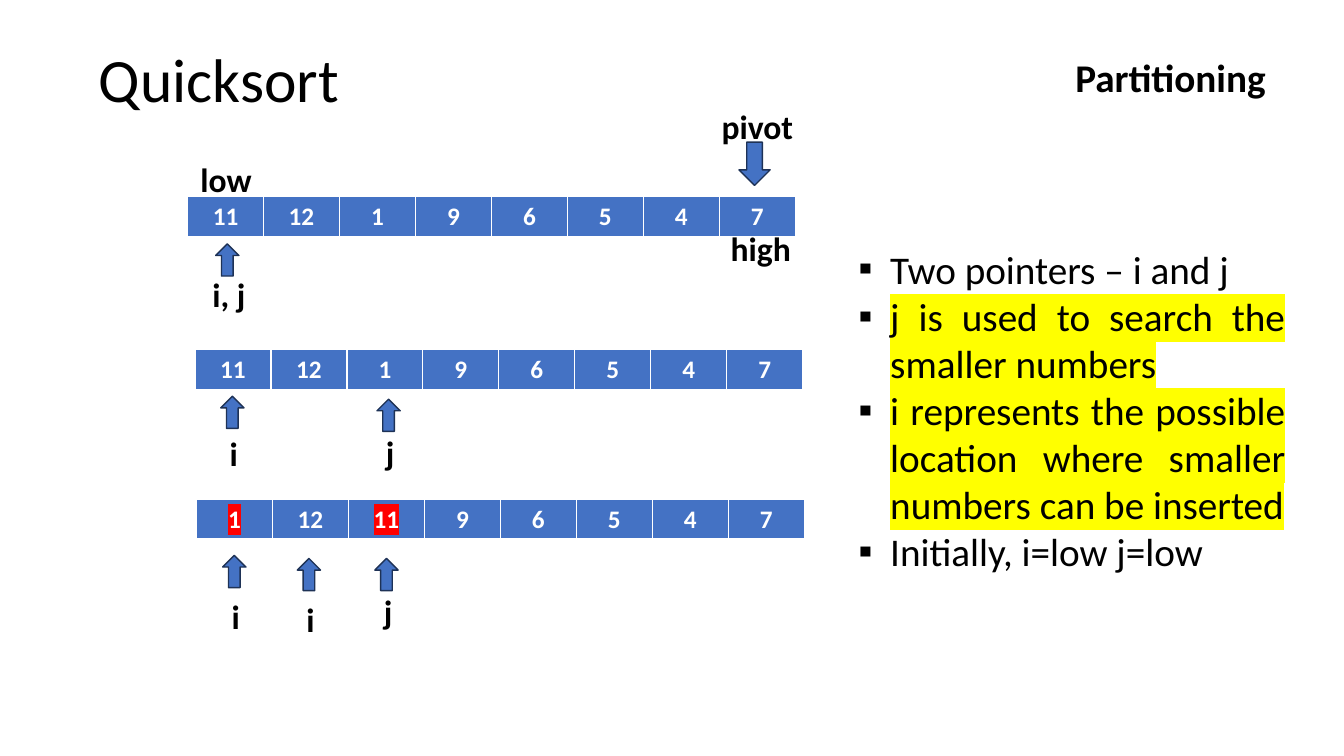
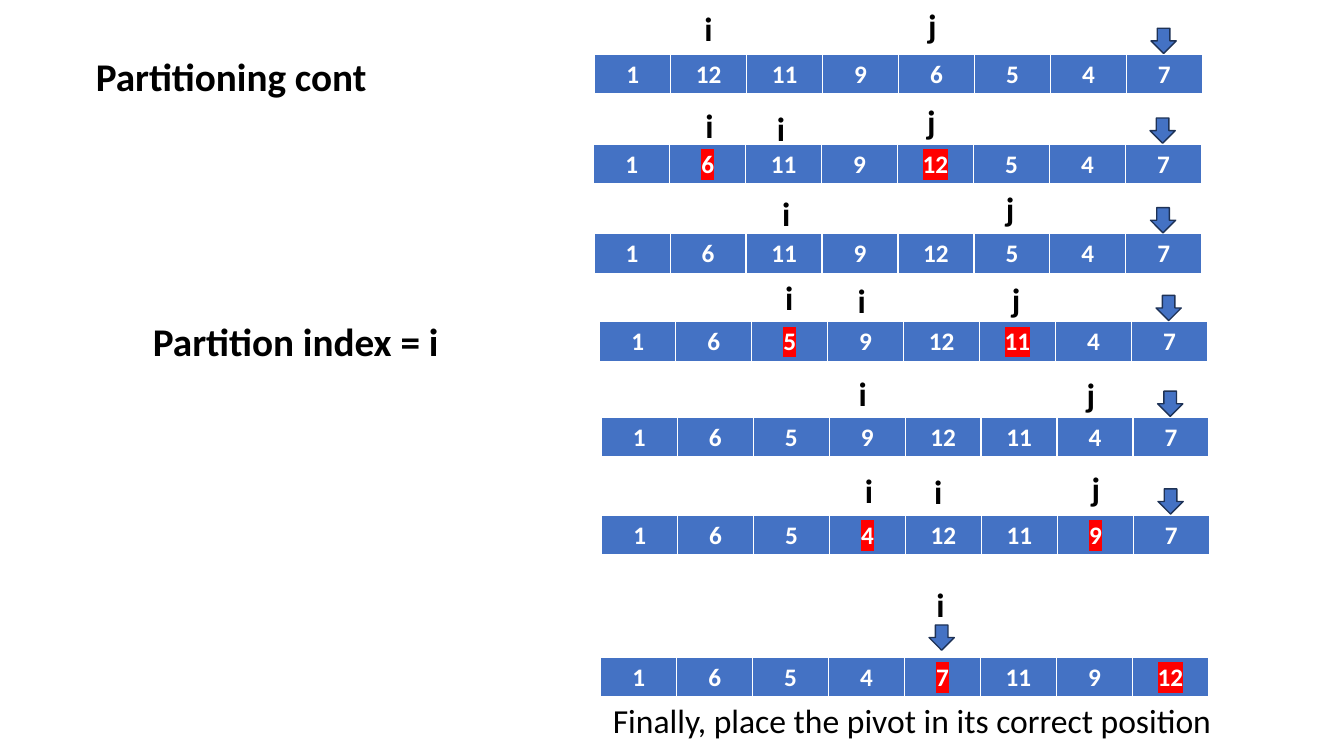
from pptx import Presentation
from pptx.dml.color import RGBColor
from pptx.enum.shapes import MSO_SHAPE as Shape
from pptx.enum.text import MSO_ANCHOR as Anchor, MSO_AUTO_SIZE as AutoSize, PP_ALIGN as Align
from pptx.oxml.ns import qn
from pptx.util import Pt
from lxml.etree import SubElement

# Shared look
BLACK = RGBColor(0x00, 0x00, 0x00)
WHITE = RGBColor(0xFF, 0xFF, 0xFF)
BLUE = RGBColor(0x44, 0x72, 0xC4)
NAVY = RGBColor(0x1E, 0x32, 0x56)
RED = RGBColor(0xFF, 0x00, 0x00)
YELLOW = RGBColor(0xFF, 0xFF, 0x00)
FONT = "Calibri"

CELL_WIDTH, CELL_HEIGHT = 54.28, 29.2
BORDERS = (("a:lnL", 1), ("a:lnR", 1), ("a:lnT", 1), ("a:lnB", 3))
LABEL_HEIGHT = 36.3
LABEL_WIDTHS = {"i": 20.2, "j": 20.9, "i, j": 38.2, "pivot": 66.2, "low": 51.1, "high": 58.3}
UP_SIZE, DOWN_SIZE, PIVOT_SIZE = (16.6, 23), (18, 18), (22.3, 31)

# Slide 1: left, top, values, swapped columns, up arrows, labels
FIRST_STEPS = (
    (134, 140.4, (11, 12, 1, 9, 6, 5, 4, 7), (), ((154.1, 174.2),),
     (("i, j", 144.7, 192.2), ("pivot", 508.3, 72), ("low", 136.1, 110.2), ("high", 514.8, 159.1))),
    (139.3, 249.8, (11, 12, 1, 9, 6, 5, 4, 7), (), ((157.7, 283), (269.3, 285.1)),
     (("i", 157, 306), ("j", 268.6, 304.6))),
    (140.4, 356.4, (1, 12, 11, 9, 6, 5, 4, 7), (0, 2),
     ((159.1, 396.7), (212.4, 398.9), (267.8, 398.9)),
     (("i", 158.4, 421.9), ("i", 211.7, 424.1), ("j", 267.1, 418.3))),
)

# Slide 2: left, top, values, swapped columns, pivot column, arrow lift, labels
NEXT_STEPS = (
    (424.8, 38.9, (1, 12, 11, 9, 6, 5, 4, 7), (), 7, 18.7,
     (("i", 496.1, 2.2), ("j", 655.9, 0))),
    (424.1, 103, (1, 6, 11, 9, 12, 5, 4, 7), (1, 4), 7, 18.7,
     (("i", 496.8, 71.3), ("i", 547.9, 73.4), ("j", 655.2, 68.4))),
    (424.4, 167, (1, 6, 11, 9, 12, 5, 4, 7), (), 7, 18.7,
     (("i", 551.5, 134.6), ("j", 711.4, 131))),
    (428.4, 229.7, (1, 6, 5, 9, 12, 11, 4, 7), (2, 5), 7, 18.7,
     (("i", 553.7, 194.4), ("i", 605.5, 196.6), ("j", 715.7, 195.8))),
    (429.5, 298.1, (1, 6, 5, 9, 12, 11, 4, 7), (), 7, 18.7,
     (("i", 606.2, 262.8), ("j", 769, 263.5))),
    (429.8, 367.9, (1, 6, 5, 4, 12, 11, 9, 7), (3, 6), 7, 18.7,
     (("i", 610.6, 331.9), ("i", 660.2, 332.6), ("j", 772.6, 330.5))),
    (429.1, 469.4, (1, 6, 5, 4, 7, 11, 9, 12), (4, 7), 4, 23,
     (("i", 661.7, 413.3),)),
)

NOTES = (
    ("Two pointers – i and j", None),
    ("j is used to search the smaller numbers", YELLOW),
    ("i represents the possible location where smaller numbers can be inserted", YELLOW),
    ("Initially, i=low j=low", None),
)


def add_color(parent, color):
    fill = SubElement(parent, qn("a:solidFill"))
    SubElement(fill, qn("a:srgbClr"), val=str(color))


def write(para, text, *, size=24, bold=False, color=BLACK, align=Align.LEFT,
          spacing=1.0, highlight=None):
    para.alignment = align
    para.line_spacing = spacing
    para.space_before = para.space_after = Pt(0)
    span = para.add_run()
    span.text = text
    font = span.font
    font.name, font.size, font.bold = FONT, Pt(size), bold
    font.color.rgb = color
    if highlight is not None:
        properties = span._r.get_or_add_rPr()
        mark = SubElement(properties, qn("a:highlight"))
        SubElement(mark, qn("a:srgbClr"), val=str(highlight))
        properties.find(qn("a:solidFill")).addnext(mark)


def place(shape, left, top, width, height):
    shape.left, shape.top, shape.width, shape.height = map(Pt, (left, top, width, height))
    frame = shape.text_frame
    frame.vertical_anchor = Anchor.TOP
    frame.auto_size = AutoSize.NONE
    return frame


def add_title(slide, text, area, **style):
    frame = place(slide.shapes.title, *area)
    frame.word_wrap = True
    write(frame.paragraphs[0], text, **style)


def add_text(slide, text, area, **style):
    box = slide.shapes.add_textbox(*map(Pt, area))
    box.text_frame.word_wrap = False
    write(box.text_frame.paragraphs[0], text, **style)


def add_labels(slide, labels):
    for text, left, top in labels:
        add_text(slide, text, (left, top, LABEL_WIDTHS[text], LABEL_HEIGHT), bold=True)


def add_arrow(slide, kind, left, top, size):
    arrow = slide.shapes.add_shape(kind, *map(Pt, (left, top, *size)))
    arrow.shadow.inherit = False
    arrow.fill.solid()
    arrow.fill.fore_color.rgb = BLUE
    arrow.line.color.rgb = NAVY
    arrow.line.width = Pt(1)


def set_borders(cell):
    properties = cell._tc.get_or_add_tcPr()
    for index, (tag, width) in enumerate(BORDERS):
        border = SubElement(properties, qn(tag), w=str(Pt(width)))
        add_color(border, WHITE)
        properties.insert(index, border)


def add_array(slide, left, top, values, swapped):
    count = len(values)
    area = map(Pt, (left, top, CELL_WIDTH * count, CELL_HEIGHT))
    table = slide.shapes.add_table(1, count, *area).table
    for column, value in enumerate(values):
        cell = table.cell(0, column)
        cell.fill.solid()
        cell.fill.fore_color.rgb = BLUE
        set_borders(cell)
        write(cell.text_frame.paragraphs[0], str(value), size=18, bold=True, color=WHITE,
              align=Align.CENTER, highlight=RED if column in swapped else None)


def add_bullets(slide, items, area):
    frame = place(slide.placeholders[1], *area)
    frame.word_wrap = True
    for index, (text, highlight) in enumerate(items):
        para = frame.add_paragraph() if index else frame.paragraphs[0]
        write(para, text, size=28, align=Align.JUSTIFY, highlight=highlight)
        properties = para._p.get_or_add_pPr()
        properties.set("marL", str(Pt(22.5)))
        properties.set("indent", str(Pt(-22.5)))
        SubElement(properties, qn("a:buFont"), typeface=FONT)
        SubElement(properties, qn("a:buChar"), char="▪")


def build_start(deck):
    slide = deck.slides.add_slide(deck.slide_layouts[1])
    add_title(slide, "Quicksort", (63.4, 31.7, 828, 104.4), size=44, spacing=0.9)
    add_text(slide, "Partitioning", (761, 34.6, 152.6, 41), size=28, bold=True)
    for left, top, values, swapped, arrows, labels in FIRST_STEPS:
        add_array(slide, left, top, values, swapped)
        for x, y in arrows:
            add_arrow(slide, Shape.UP_ARROW, x, y, UP_SIZE)
        add_labels(slide, labels)
    add_arrow(slide, Shape.DOWN_ARROW, 527.8, 101.5, PIVOT_SIZE)
    add_bullets(slide, NOTES, (606.2, 171.4, 319, 278.6))


def build_continuation(deck):
    slide = deck.slides.add_slide(deck.slide_layouts[5])
    add_title(slide, "Partitioning cont", (61.2, 33.8, 230, 41), size=28, bold=True)
    add_text(slide, "Partition index = i", (102.2, 223.2, 219, 41), size=28, bold=True)
    for left, top, values, swapped, pivot, lift, labels in NEXT_STEPS:
        add_array(slide, left, top, values, swapped)
        add_arrow(slide, Shape.DOWN_ARROW, left + pivot * CELL_WIDTH + 17.4, top - lift, DOWN_SIZE)
        add_labels(slide, labels)
    add_text(slide, "Finally, place the pivot in its correct position",
             (430.6, 496.1, 445.7, LABEL_HEIGHT))


def main():
    deck = Presentation()
    deck.slide_width, deck.slide_height = Pt(960), Pt(540)
    build_start(deck)
    build_continuation(deck)
    deck.save("out.pptx")


if __name__ == "__main__":
    main()
